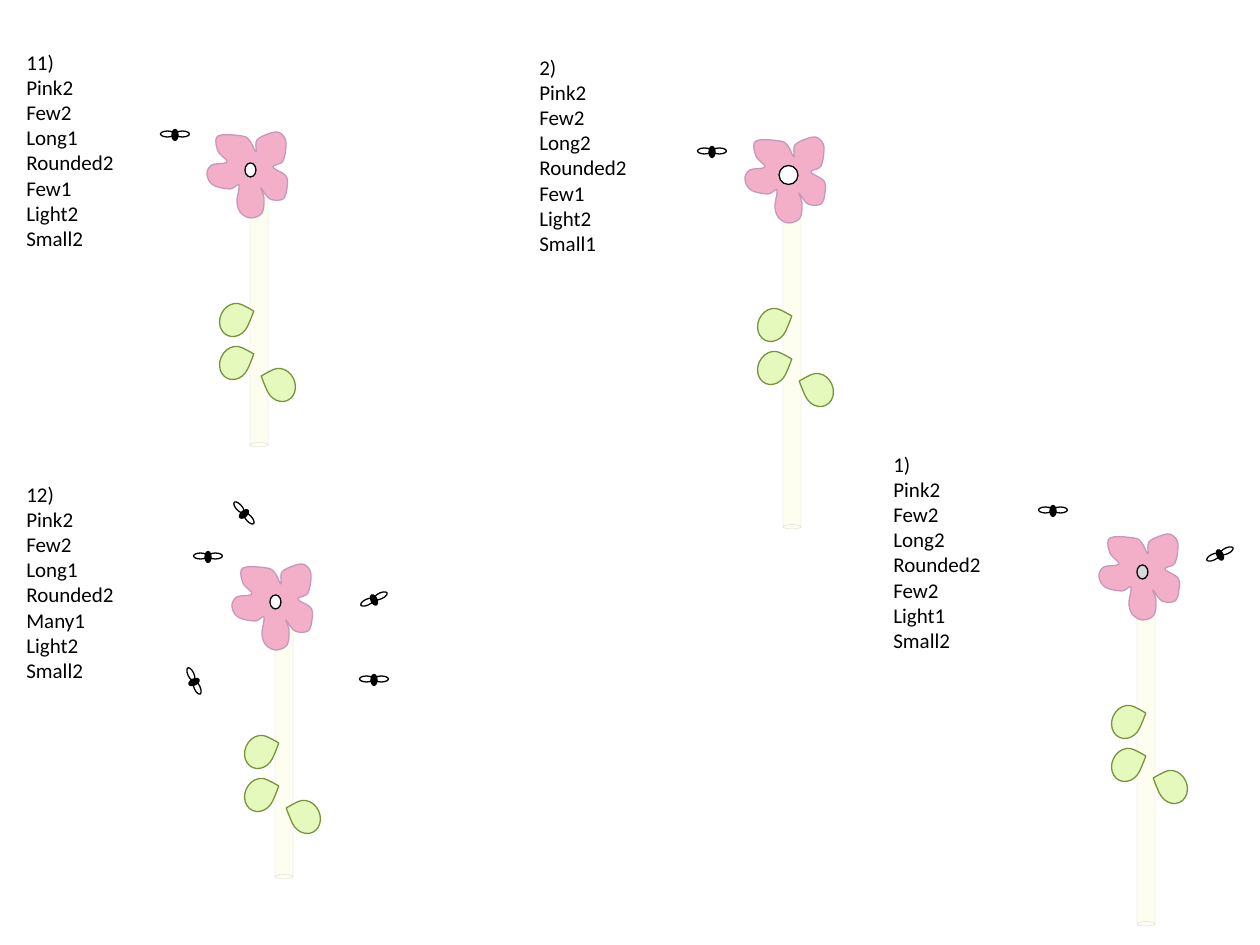
"""Build a slide of four labelled flowers with bees."""
from dataclasses import dataclass
from math import cos, radians, sin

from pptx import Presentation
from pptx.dml.color import RGBColor
from pptx.enum.shapes import MSO_SHAPE
from pptx.enum.text import MSO_AUTO_SIZE
from pptx.util import Pt

SCALE = 914400 / 126


@dataclass(frozen=True)
class Theme:
    petal: str = "F3AFC7"
    edge: str = "C797BC"
    leaf: str = "E6F9BC"
    vein: str = "77933C"
    stem: str = "FEFEF0"
    rim: str = "DEDED0"
    black: str = "000000"
    white: str = "FFFFFF"
    grey: str = "D9D9D9"
    font: str = "Calibri"
    size: int = 12
    line: float = 0.75
    thin: float = 0.25


THEME = Theme()

PETALS = [
    (49, 20), (50, 8), (64, 1), (73, 1), (79, 10), (76, 29), (66, 35),
    (79, 44), (80, 56), (76, 67), (63, 67), (54, 56), (57, 66), (55, 81),
    (44, 86), (34, 81), (30, 70), (32, 53), (23, 57), (6, 53), (0, 42),
    (5, 33), (20, 30), (11, 19), (11, 4), (35, 4), (43, 9),
]

LONG, SHORT = (38, 330), (43, 253)

PLANTS = [
    dict(head=(207, 132), stem=SHORT, eye=(11, 14, THEME.white), left=14,
         words="11) Pink2 Few2 Long1 Rounded2 Few1 Light2 Small2",
         bees=[(175, 135, 0)]),
    dict(head=(232, 564), stem=SHORT, eye=(11, 14, THEME.white), left=14,
         words="12) Pink2 Few2 Long1 Rounded2 Many1 Light2 Small2",
         bees=[(208, 557, 0), (374, 600, 335), (244, 514, 48),
               (194, 682, 65), (374, 680, 0)]),
    dict(head=(745, 137), stem=LONG, eye=(19, 19, THEME.white), left=527,
         words="2) Pink2 Few2 Long2 Rounded2 Few1 Light2 Small1",
         bees=[(712, 152, 0)]),
    dict(head=(1099, 534), stem=LONG, eye=(11, 14, THEME.grey), left=881,
         words="1) Pink2 Few2 Long2 Rounded2 Few2 Light1 Small2",
         bees=[(1053, 511, 0), (1220, 555, 335)]),
]


def px(num):
    return round(num * SCALE)


def put(item, **vals):
    for key, val in vals.items():
        setattr(item, key, val)


def paint(shape, fill, line, width=THEME.line):
    shape.shadow.inherit = False
    if fill:
        shape.fill.solid()
        shape.fill.fore_color.rgb = RGBColor.from_string(fill)
    else:
        shape.fill.background()
    shape.line.color.rgb = RGBColor.from_string(line)
    shape.line.width = Pt(width)


def draw(shapes, kind, box, fill, line, turn=0, width=THEME.line):
    shape = shapes.add_shape(kind, *map(px, box))
    shape.rotation = turn
    paint(shape, fill, line, width)
    return shape


def blend(a, b, c, d, t):
    return b + t / 2 * (c - a + t * (2 * a - 5 * b + 4 * c - d
                                     + t * (3 * (b - c) + d - a)))


def smooth(spots, parts=5):
    count = len(spots)
    for i in range(count):
        near = [spots[(i + k) % count] for k in (-1, 0, 1, 2)]
        for j in range(parts):
            yield [blend(*axis, j / parts) for axis in zip(*near)]


def bloom(shapes, left, top):
    curve = [(px(left + x), px(top + y)) for x, y in smooth(PETALS)]
    pen = shapes.build_freeform(*curve[0])
    pen.add_line_segments(curve[1:], close=True)
    paint(pen.convert_to_shape(), THEME.petal, THEME.edge)


def leaf(shapes, left, top, turn, flip=False):
    shape = draw(shapes, MSO_SHAPE.TEAR, (left, top, 29, 34),
                 THEME.leaf, THEME.vein, turn)
    shape.adjustments[0] = 0.95
    if flip:
        shape.element.spPr.xfrm.set("flipH", "1")


def bee(shapes, x, y, turn):
    draw(shapes, MSO_SHAPE.OVAL, (x - 3, y - 5.5, 6, 11),
         THEME.black, THEME.black, turn)
    for side in (7.5, -7.5):
        dx, dy = side * cos(radians(turn)), side * sin(radians(turn))
        draw(shapes, MSO_SHAPE.OVAL, (x + dx - 7, y + dy - 4, 14, 6),
             None, THEME.black, turn)


def note(shapes, left, top, words):
    frame = shapes.add_textbox(*map(px, (left, top, 113, 217))).text_frame
    put(frame, text="\n".join(words.split()), word_wrap=False,
        auto_size=MSO_AUTO_SIZE.SHAPE_TO_FIT_TEXT)
    for para in frame.paragraphs:
        put(para.font, name=THEME.font, size=Pt(THEME.size))
        para.font.color.rgb = RGBColor.from_string(THEME.black)


def plant(shapes, head, stem, eye, left, words, bees):
    x, y = head
    shift, tall = stem
    draw(shapes, MSO_SHAPE.CAN, (x + shift, y + 62, 18, tall),
         THEME.stem, THEME.rim, 180, THEME.thin)
    bloom(shapes, x, y)
    note(shapes, left, y - 89, words)
    for drop in (171, 214):
        leaf(shapes, x + 13, y + drop, 24.6)
    leaf(shapes, x + 59, y + 236, 335.4, True)
    wide, high, fill = eye
    draw(shapes, MSO_SHAPE.OVAL,
         (x + 43.5 - wide / 2, y + 38 - high / 2, wide, high),
         fill, THEME.black)
    swarm = shapes.add_group_shape().shapes
    for spot in bees:
        bee(swarm, *spot)


def main():
    deck = Presentation()
    put(deck, slide_width=px(1260), slide_height=px(945))
    slide = deck.slides.add_slide(deck.slide_layouts[6])
    for spec in PLANTS:
        plant(slide.shapes, **spec)
    deck.save("out.pptx")


main()
